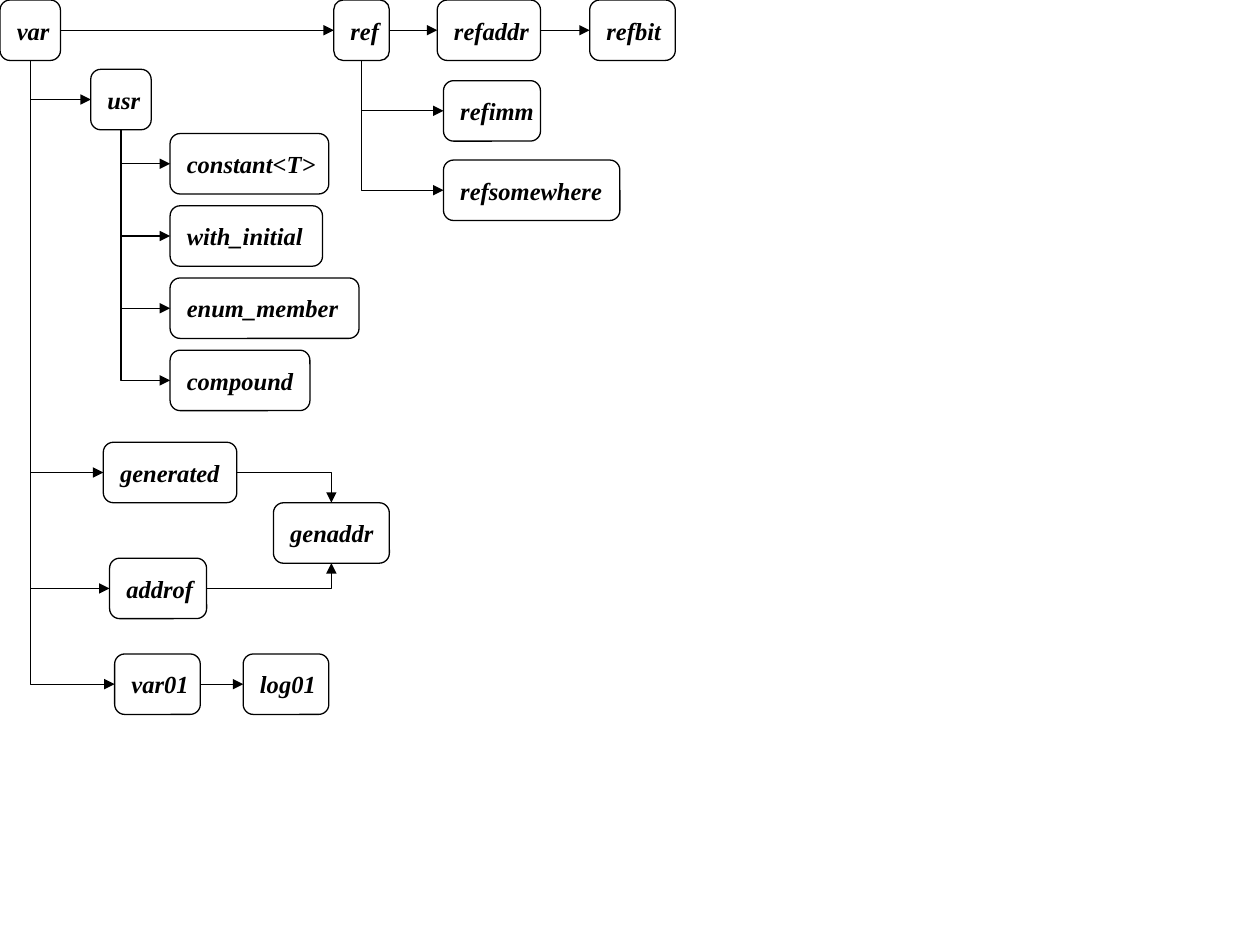
from pptx import Presentation
from pptx.dml.color import RGBColor
from pptx.enum.shapes import MSO_CONNECTOR as CONN, MSO_SHAPE as SHAPE
from pptx.enum.text import MSO_ANCHOR as ANCHOR, PP_ALIGN as ALIGN
from pptx.oxml.ns import qn
from pptx.util import Inches, Pt
from lxml import etree

BOX_HEIGHT = 0.48
TOP, LEFT, BOTTOM, RIGHT = range(4)  # connection sites of a box

# Class name: left, top, width
CLASSES = {
    "var": (0, 0, 0.48),
    "usr": (0.72, 0.55, 0.48),
    "generated": (0.82, 3.51, 1.06),
    "addrof": (0.87, 4.43, 0.77),
    "var01": (0.91, 5.19, 0.68),
    "log01": (1.93, 5.19, 0.68),
    "genaddr": (2.17, 3.99, 0.92),
    "ref": (2.65, 0, 0.44),
    "refaddr": (3.47, 0, 0.82),
    "refbit": (4.68, 0, 0.68),
    "refimm": (3.52, 0.64, 0.77),
    "refsomewhere": (3.52, 1.27, 1.4),
}
# Classes below usr, evenly stacked: name and width
USR_CLASSES = [("constant<T>", 1.26), ("with_initial", 1.21),
               ("enum_member", 1.5), ("compound", 1.11)]
USR_LEFT, USR_TOP, USR_STEP = 1.35, 1.06, 0.573

# Parent: children reached by a branch going down, then right
BRANCHES = {
    "var": ["usr", "generated", "addrof", "var01"],
    "usr": [name for name, _ in USR_CLASSES],
    "ref": ["refimm", "refsomewhere"],
}
STRAIGHT = [("var", "ref"), ("ref", "refaddr"), ("refaddr", "refbit"),
            ("var01", "log01")]
# Both parents of genaddr, with the side they arrive at
MERGES = [("generated", TOP), ("addrof", BOTTOM)]


def color(value):
    return RGBColor.from_string(value)


def set_text(s, text, size=14, font="Times New Roman", fill="000000",
             bold=True, italic=True, align=ALIGN.LEFT):
    tf = s.text_frame
    tf.word_wrap = False
    tf.vertical_anchor = ANCHOR.MIDDLE
    tf.margin_left = tf.margin_right = Inches(0.11)
    tf.margin_top = tf.margin_bottom = Inches(0.05)
    p = tf.paragraphs[0]
    p.alignment = align
    r = p.add_run()
    r.text = text
    r.font.name, r.font.size = font, Pt(size)
    r.font.bold, r.font.italic = bold, italic
    r.font.color.rgb = color(fill)


def set_line(s, value="000000", width=0.75):
    s.line.color.rgb = color(value)
    s.line.width = Pt(width)


def add_box(slide, name, left, top, width):
    s = slide.shapes.add_shape(SHAPE.ROUNDED_RECTANGLE, Inches(left), Inches(top),
                               Inches(width), Inches(BOX_HEIGHT))
    s.shadow.inherit = False
    s.fill.background()
    set_line(s)
    set_text(s, name)
    return s


def add_arrow(slide, kind, start, start_site, end, end_site):
    s = slide.shapes.add_connector(kind, 0, 0, 0, 0)
    s.begin_connect(start, start_site)
    s.end_connect(end, end_site)
    set_line(s)
    sp = s._element.spPr
    etree.SubElement(s.line._get_or_add_ln(), qn("a:tailEnd"), type="triangle")
    etree.SubElement(sp, qn("a:effectLst"))
    if kind == CONN.ELBOW:
        sp.find(qn("a:prstGeom")).set("prst", "bentConnector2")
    return s


def add_branch(slide, parent, child):
    """Elbow that leaves downwards: the preset turned by 270 degrees."""
    s = add_arrow(slide, CONN.ELBOW, parent, BOTTOM, child, LEFT)
    width, height = s.width, s.height
    shift = (width - height) // 2
    s.left, s.top = s.left + shift, s.top - shift
    s.width, s.height = height, width
    xfrm = s._element.spPr.find(qn("a:xfrm"))
    xfrm.set("rot", str(270 * 60000))
    xfrm.set("flipH", "1")


def main():
    prs = Presentation()
    prs.slide_width, prs.slide_height = Inches(10), Inches(7.5)
    slide = prs.slides.add_slide(prs.slide_layouts[6])

    # Class boxes
    boxes = {name: add_box(slide, name, *place) for name, place in CLASSES.items()}
    for i, (name, width) in enumerate(USR_CLASSES):
        boxes[name] = add_box(slide, name, USR_LEFT, USR_TOP + i * USR_STEP, width)

    # Inheritance arrows
    for parent, children in BRANCHES.items():
        for child in children:
            add_branch(slide, boxes[parent], boxes[child])
    for parent, child in STRAIGHT:
        add_arrow(slide, CONN.STRAIGHT, boxes[parent], RIGHT, boxes[child], LEFT)
    for parent, side in MERGES:
        add_arrow(slide, CONN.ELBOW, boxes[parent], RIGHT, boxes["genaddr"], side)

    prs.save("out.pptx")


if __name__ == "__main__":
    main()
